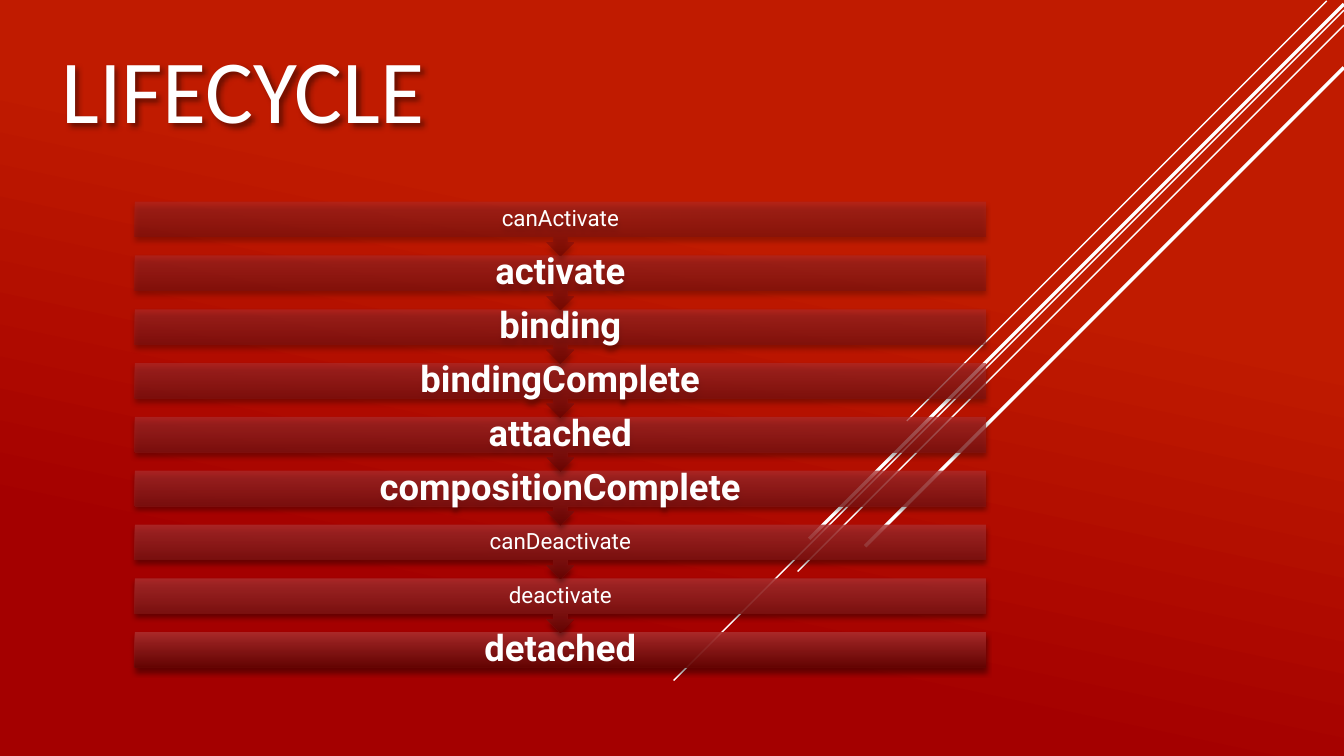
from collections import namedtuple
from dataclasses import dataclass

from lxml import etree
from pptx import Presentation
from pptx.dml.color import RGBColor
from pptx.enum.shapes import MSO_CONNECTOR, MSO_SHAPE
from pptx.enum.text import MSO_ANCHOR, PP_ALIGN
from pptx.oxml.ns import qn
from pptx.util import Pt

STRAIGHT = MSO_CONNECTOR.STRAIGHT
CALLOUT = MSO_SHAPE.DOWN_ARROW_CALLOUT
RECTANGLE = MSO_SHAPE.RECTANGLE
MIDDLE = MSO_ANCHOR.MIDDLE
BOTTOM = MSO_ANCHOR.BOTTOM
CENTER = PP_ALIGN.CENTER

Box = namedtuple("Box", "left top width height")
Ray = namedtuple("Ray", "inset top run weight")
Step = namedtuple("Step", "name is_key")


@dataclass(frozen=True)
class Theme:
    """Colours, fonts and type sizes of the deck."""

    white: str = "FFFFFF"
    shadow: str = "000000"
    page_stops: tuple = ((0.34, "C01B00"), (0.77, "A40000"))
    bar_stops: tuple = ((0, "AC2D2D"), (1, "650503"))
    title_font: str = "Calibri"
    body_font: str = "Roboto"
    title_size: float = 64.3
    key_size: float = 26
    step_size: float = 16


THEME = Theme()

RAYS = (
    Ray(12.3, 0.7, 300, 1),
    Ray(0, 7.2, 478.8, 1),
    Ray(0, 18, 390.2, 1),
    Ray(0, 2.9, 382, 2.5),
    Ray(0, 48.2, 342, 2.5),
)

STEPS = (
    Step("canActivate", False),
    Step("activate", True),
    Step("binding", True),
    Step("bindingComplete", True),
    Step("attached", True),
    Step("compositionComplete", True),
    Step("canDeactivate", False),
    Step("deactivate", False),
    Step("detached", True),
)


def set_alpha(color, percent):
    """Give a colour element an opacity."""
    etree.SubElement(color, qn("a:alpha"), val=str(percent * 1000))


def set_gradient(fill, stops, clockwise_angle):
    """Fill with a two-stop linear gradient."""
    fill.gradient()
    fill.gradient_angle = 360 - clockwise_angle
    for stop, (position, color) in zip(fill.gradient_stops, stops):
        stop.position = position
        stop.color.rgb = RGBColor.from_string(color)


def add_shadow(shape, angle):
    """Cast a soft outer shadow in the given direction."""
    shape.shadow.inherit = False
    effects = shape._element.spPr.find(qn("a:effectLst"))
    outer = etree.SubElement(
        effects, qn("a:outerShdw"), blurRad=str(Pt(4)), dist=str(Pt(3)),
        dir=str(angle * 60000), algn="ctr", rotWithShape="0")
    set_alpha(etree.SubElement(outer, qn("a:srgbClr"), val=THEME.shadow), 46)


def write_text(frame, text, font_name, size, bold=False):
    """Write one white paragraph and return it."""
    para = frame.paragraphs[0]
    para.text = text
    para.font.name = font_name
    para.font.size = Pt(size)
    para.font.bold = bold
    para.font.color.rgb = RGBColor.from_string(THEME.white)
    return para


def add_rays(page, box):
    """Draw the diagonal rays falling from the right edge of the box."""
    for ray in RAYS:
        right = box.left + box.width - ray.inset
        top = box.top + ray.top
        line = page.shapes.add_connector(
            STRAIGHT, Pt(right), Pt(top), Pt(right - ray.run), Pt(top + ray.run))
        line.line.color.rgb = RGBColor.from_string(THEME.white)
        line.line.width = Pt(ray.weight)
        etree.SubElement(line._element.spPr, qn("a:effectLst"))


def add_title(page, box, text):
    """Place the slide title at the bottom of the box."""
    title = page.shapes.add_textbox(*map(Pt, box))
    title.text_frame.word_wrap = True
    title.text_frame.vertical_anchor = BOTTOM
    write_text(title.text_frame, text, THEME.title_font, THEME.title_size)
    add_shadow(title, 45)


def add_step(page, box, step, kind, opacity):
    """Draw one translucent lifecycle bar with its name."""
    bar = page.shapes.add_shape(kind, *map(Pt, box))
    set_gradient(bar.fill, THEME.bar_stops, 90)
    for color in list(bar._element.spPr.iter(qn("a:srgbClr"))):
        set_alpha(color, opacity)
    bar.line.fill.background()
    add_shadow(bar, 90)
    frame = bar.text_frame
    frame.word_wrap = True
    frame.vertical_anchor = MIDDLE
    frame.margin_top = frame.margin_bottom = 0
    size = THEME.key_size if step.is_key else THEME.step_size
    para = write_text(frame, step.name, THEME.body_font, size, step.is_key)
    para.alignment = CENTER
    para.line_spacing = 0.9


def add_lifecycle(page, box):
    """Stack the steps from last to first so each arrow overlaps the next bar."""
    bar_height = 25.2
    callout_height = 38.8
    pitch = (box.height - bar_height) / (len(STEPS) - 1)
    for index, step in reversed(list(enumerate(STEPS))):
        is_last = index == len(STEPS) - 1
        kind, height = (RECTANGLE, bar_height) if is_last else (CALLOUT, callout_height)
        place = Box(box.left, box.top + index * pitch, box.width, height)
        add_step(page, place, step, kind, 50 + 5 * index)


def build_slide(deck):
    """Compose the lifecycle slide."""
    page = deck.slides.add_slide(deck.slide_layouts[6])
    set_gradient(page.background.fill, THEME.page_stops, 102)
    add_rays(page, Box(0, 0, 960, 540))
    add_title(page, Box(36.7, 18, 848, 86.4), "LIFECYCLE")
    add_lifecycle(page, Box(96.4, 144, 607.8, 332.8))


deck = Presentation()
deck.slide_width, deck.slide_height = Pt(960), Pt(540)
build_slide(deck)
deck.save("out.pptx")
